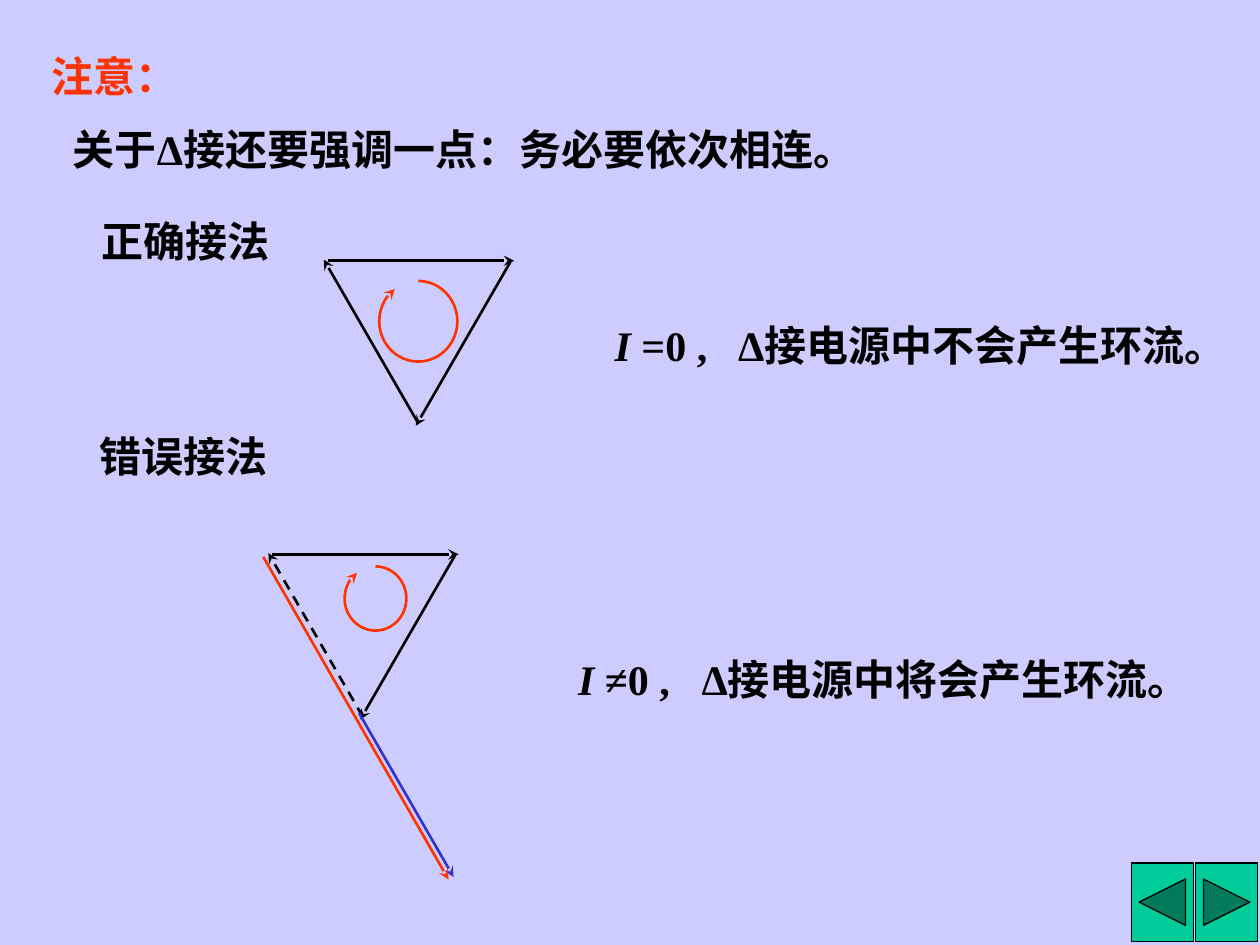
from lxml import etree
from pptx import Presentation
from pptx.dml.color import RGBColor
from pptx.enum.dml import MSO_LINE
from pptx.enum.shapes import MSO_CONNECTOR, MSO_SHAPE
from pptx.oxml.ns import qn
from pptx.util import Inches, Pt

STRAIGHT = MSO_CONNECTOR.STRAIGHT
DASH = MSO_LINE.DASH
ARC = MSO_SHAPE.ARC
BACK = MSO_SHAPE.ACTION_BUTTON_BACK_OR_PREVIOUS
NEXT = MSO_SHAPE.ACTION_BUTTON_FORWARD_OR_NEXT

BLACK = RGBColor(0, 0, 0)
RED = RGBColor(0xFF, 0x33, 0x00)
BLUE = RGBColor(0x33, 0x33, 0xCC)
GREEN = RGBColor(0x00, 0xCC, 0x99)
LILAC = RGBColor(0xCC, 0xCC, 0xFF)
FONT = "Times New Roman"
WIDE, HIGH = 10, 7.5
ROW = 0.5      # height of a line of text
GAP = 0.98     # tab stop before the delta sign

# left, top, width, colour, runs of (text, italic)
TEXTS = [
    (0.31, 0.35, 1.85, RED, [("注意：", False)]),
    (0.48, 0.93, 6.41, BLACK, [("关于Δ接还要强调一点：务必要依次相连。", False)]),
    (0.71, 1.66, 1.53, BLACK, [("正确接法", False)]),
    (0.69, 3.37, 1.53, BLACK, [("错误接法", False)]),
    (4.78, 2.49, 5.2, BLACK,
     [("I ", True), ("=0 ,\tΔ接电源中不会产生环流。", False)]),
    (4.49, 5.14, 5.2, BLACK,
     [("I ", True), ("≠0 ,\tΔ接电源中将会产生环流。", False)]),
]

# Triangle sides, measured from its top left corner
TOP = ((0.03, 0.01), (1.51, 0.01))
LEFT = ((0.75, 1.3), (0, 0))
RIGHT = ((1.48, 0.02), (0.73, 1.32))
LOWER = ((0.72, 1.27), (1.47, 2.57))
LONG = ((-0.04, 0.03), (1.43, 2.59))

# corner, sides of (ends, colour, dash), loop centre, loop size
LOOPS = [
    ((2.57, 2.06), [(TOP, BLACK, None), (LEFT, BLACK, None),
                    (RIGHT, BLACK, None)], (0.75, 0.49), (0.62, 0.64)),
    ((2.13, 4.39), [(TOP, BLACK, None), (LEFT, BLACK, DASH),
                    (RIGHT, BLACK, None), (LOWER, BLUE, None),
                    (LONG, RED, None)], (0.85, 0.36), (0.49, 0.51)),
]
START, END = 270, 234     # degrees of the loop arrow, clockwise
TURN = 0.6                # adjustment units in a degree

BUTTONS = [BACK, NEXT]
KEY_W, KEY_H, STEP = 0.49, 0.62, 0.51
EDGE = 0.02


def add_text(slide, left, top, width, color, runs):
    box = slide.shapes.add_textbox(
        Inches(left), Inches(top), Inches(width), Inches(ROW))
    frame = box.text_frame
    frame.word_wrap = True
    para = frame.paragraphs[0]
    if any("\t" in text for text, _ in runs):
        tabs = etree.SubElement(para._p.get_or_add_pPr(), qn("a:tabLst"))
        etree.SubElement(tabs, qn("a:tab"), pos=str(Inches(GAP)), algn="l")
    for text, slant in runs:
        run = para.add_run()
        run.text = text
        font = run.font
        font.name, font.size = FONT, Pt(24)
        font.bold, font.italic = True, slant
        font.color.rgb = color


def style_arrow(line, color):
    line.color.rgb = color
    line.width = Pt(1.5)


def add_head(line):
    """Put a stealth head at the end, after every other line setting."""
    etree.SubElement(line._get_or_add_ln(), qn("a:tailEnd"), type="stealth")


def add_side(slide, corner, ends, color, dash):
    spots = [Inches(c + d) for end in ends for c, d in zip(corner, end)]
    side = slide.shapes.add_connector(STRAIGHT, *spots)
    style_arrow(side.line, color)
    if dash:
        side.line.dash_style = dash
    add_head(side.line)
    etree.SubElement(side._element.spPr, qn("a:effectLst"))


def add_loop(slide, corner, center, size):
    """Draw the nearly closed round arrow inside a triangle."""
    spot = [Inches(c + m - s / 2) for c, m, s in zip(corner, center, size)]
    loop = slide.shapes.add_shape(ARC, *spot, *map(Inches, size))
    loop.adjustments[0] = START * TURN
    loop.adjustments[1] = END * TURN
    loop.shadow.inherit = False
    loop.fill.background()
    style_arrow(loop.line, RED)
    add_head(loop.line)


def add_button(slide, kind, left):
    key = slide.shapes.add_shape(
        kind, Inches(left), Inches(HIGH - EDGE - KEY_H - 0.01),
        Inches(KEY_W), Inches(KEY_H))
    key.shadow.inherit = False
    key.fill.solid()
    key.fill.fore_color.rgb = GREEN
    key.line.color.rgb = BLACK
    key.line.width = Pt(0.75)


def main():
    deck = Presentation()
    deck.slide_width, deck.slide_height = Inches(WIDE), Inches(HIGH)
    slide = deck.slides.add_slide(deck.slide_layouts[6])
    back = slide.background.fill
    back.solid()
    back.fore_color.rgb = LILAC

    first = WIDE - EDGE - KEY_W - STEP * (len(BUTTONS) - 1)
    for i, kind in enumerate(BUTTONS):
        add_button(slide, kind, first + i * STEP)
    for item in TEXTS:
        add_text(slide, *item)
    for corner, sides, center, size in LOOPS:
        for side in sides:
            add_side(slide, corner, *side)
        add_loop(slide, corner, center, size)
    deck.save("out.pptx")


if __name__ == "__main__":
    main()
